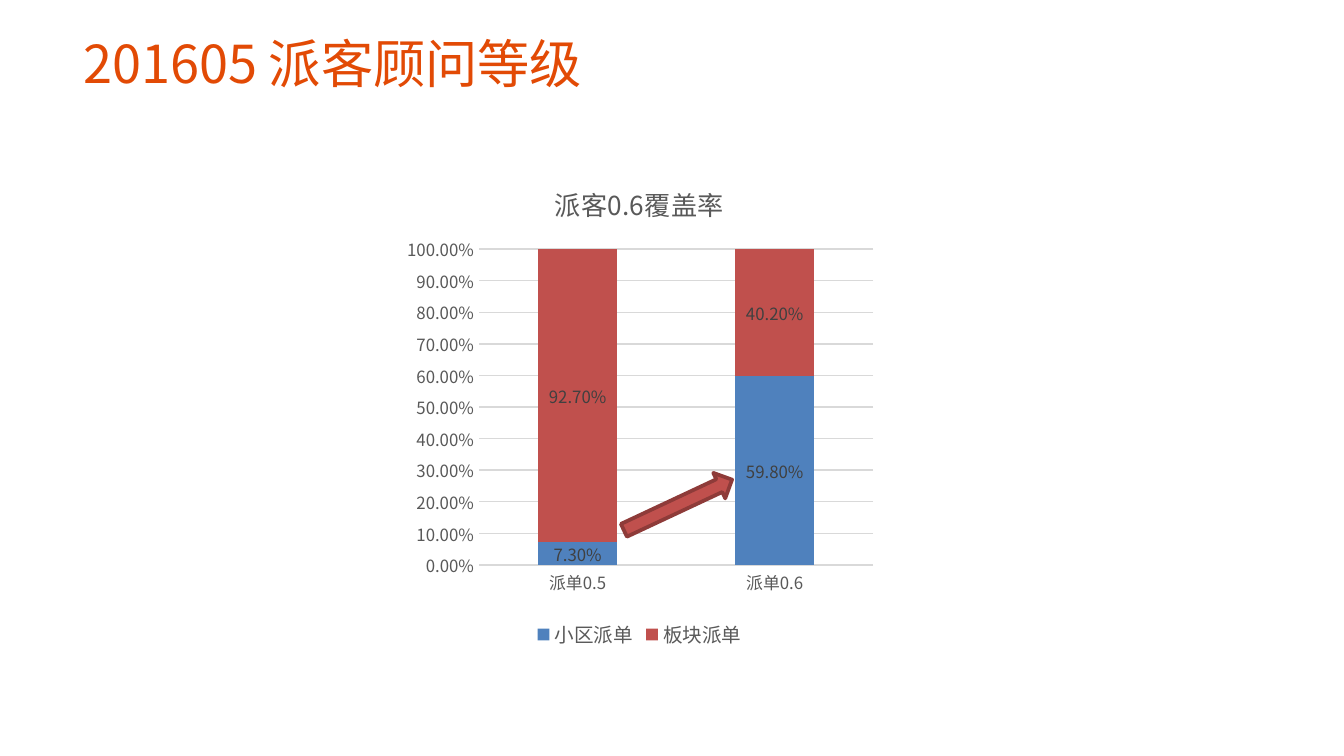
"""Build the consultant level slide with its coverage chart."""
from dataclasses import dataclass
from typing import Any

from lxml.etree import SubElement
from pptx import Presentation
from pptx.chart.data import CategoryChartData
from pptx.dml.color import RGBColor
from pptx.enum.chart import (XL_CHART_TYPE, XL_LABEL_POSITION,
                             XL_LEGEND_POSITION, XL_TICK_MARK)
from pptx.enum.shapes import MSO_SHAPE
from pptx.enum.text import MSO_ANCHOR, MSO_AUTO_SIZE, PP_ALIGN
from pptx.oxml import parse_xml
from pptx.oxml.ns import nsdecls, qn
from pptx.util import Inches, Pt

WIDE = Inches(10)
HIGH = WIDE * 9 // 16
FACE = "Noto Sans CJK SC"
COLORS = {"title": "E24A05", "text": "595959", "label": "404040",
          "grid": "D9D9D9", "blue": "4F81BD", "red": "C0504D",
          "edge": "8E3B39"}


@dataclass(frozen=True)
class Box:
    """A place given as percent shares of the slide."""
    left: float
    top: float
    width: float
    height: float

    def spots(self) -> dict[str, int]:
        """Return the place in slide units."""
        return {"left": round(WIDE * self.left / 100),
                "top": round(HIGH * self.top / 100),
                "width": round(WIDE * self.width / 100),
                "height": round(HIGH * self.height / 100)}


@dataclass(frozen=True)
class Band:
    """One stacked series of the chart."""
    name: str
    color: str
    rates: tuple[float, ...]


TITLE_BOX = Box(5.2, 3.2, 85, 12.6)
CHART_BOX = Box(29.5, 21.2, 36.2, 65.3)
ARROW_BOX = Box(49.4, 58.9, 2.1, 15.8)
PLOT = {"x": 0.17, "y": 0.18, "w": 0.81, "h": 0.64}
GROUPS = ("派单0.5", "派单0.6")
BANDS = (Band("小区派单", "blue", (0.073, 0.598)),
         Band("板块派单", "red", (0.927, 0.402)))


def apply(item: Any, values: dict[str, Any]) -> None:
    """Set each named attribute on the item."""
    for name, value in values.items():
        setattr(item, name, value)


def shade(name: str) -> RGBColor:
    """Look up a colour."""
    return RGBColor.from_string(COLORS[name])


def style(font: Any, size: float, color: str) -> None:
    """Format a font."""
    apply(font, {"size": Pt(size), "name": FACE, "bold": False})
    font.color.rgb = shade(color)


def pair(root: Any) -> None:
    """Give East Asian text the same face as Latin text."""
    for latin in list(root.iter(qn("a:latin"))):
        latin.addnext(parse_xml(
            f'<a:ea {nsdecls("a")} typeface="{FACE}"/>'))


def rule(line: Any) -> None:
    """Draw a thin grey chart line."""
    line.color.rgb = shade("grid")
    line.width = Pt(0.75)


def head(slide: Any) -> None:
    """Place and format the slide title."""
    title = slide.shapes.title
    apply(title, TITLE_BOX.spots())
    frame = title.text_frame
    frame.text = "201605 派客顾问等级"
    apply(frame, {"vertical_anchor": MSO_ANCHOR.TOP, "word_wrap": True,
                  "auto_size": MSO_AUTO_SIZE.NONE})
    line = frame.paragraphs[0]
    line.alignment = PP_ALIGN.LEFT
    style(line.runs[0].font, 28, "title")
    pair(title.element)


def place(chart: Any) -> None:
    """Fix the inner plot area inside the chart."""
    area = chart.element.find(".//" + qn("c:plotArea"))
    for old in area.findall(qn("c:layout")):
        area.remove(old)
    layout = parse_xml(f'<c:layout {nsdecls("c")}/>')
    area.insert(0, layout)
    manual = SubElement(layout, qn("c:manualLayout"))
    modes = {"layoutTarget": "inner", "xMode": "edge", "yMode": "edge"}
    for name, value in {**modes, **PLOT}.items():
        SubElement(manual, qn(f"c:{name}")).set("val", str(value))


def graph(slide: Any) -> None:
    """Draw the stacked coverage chart."""
    data = CategoryChartData(number_format="0.00%")
    data.categories = GROUPS
    for band in BANDS:
        data.add_series(band.name, band.rates)
    chart = slide.shapes.add_chart(XL_CHART_TYPE.COLUMN_STACKED,
                                   *CHART_BOX.spots().values(), data).chart
    style(chart.font, 10, "text")
    frame = chart.chart_title.text_frame
    frame.text = "派客0.6覆盖率"
    style(frame.paragraphs[0].runs[0].font, 14, "text")
    chart.chart_title.include_in_layout = False
    chart.has_legend = True
    apply(chart.legend, {"position": XL_LEGEND_POSITION.BOTTOM,
                         "include_in_layout": False})
    style(chart.legend.font, 10.5, "text")
    for axis in (chart.category_axis, chart.value_axis):
        apply(axis, {"major_tick_mark": XL_TICK_MARK.NONE,
                     "minor_tick_mark": XL_TICK_MARK.NONE})
        style(axis.tick_labels.font, 9, "text")
    rule(chart.category_axis.format.line)
    scale = chart.value_axis
    apply(scale, {"minimum_scale": 0, "maximum_scale": 1, "major_unit": 0.1,
                  "has_major_gridlines": True})
    apply(scale.tick_labels, {"number_format": "0.00%",
                              "number_format_is_linked": False})
    scale.format.line.fill.background()
    rule(scale.major_gridlines.format.line)
    plot = chart.plots[0]
    apply(plot, {"gap_width": 150, "overlap": 100, "vary_by_categories": False})
    for band, series in zip(BANDS, plot.series):
        series.format.fill.solid()
        series.format.fill.fore_color.rgb = shade(band.color)
        labels = series.data_labels
        apply(labels, {"show_value": True, "number_format": "0.00%",
                       "number_format_is_linked": False,
                       "position": XL_LABEL_POSITION.CENTER})
        style(labels.font, 9, "label")
    place(chart)
    pair(chart.element)


def point(slide: Any) -> None:
    """Draw the rising arrow between the columns."""
    arrow = slide.shapes.add_shape(MSO_SHAPE.DOWN_ARROW,
                                   *ARROW_BOX.spots().values())
    arrow.rotation = 244.9
    arrow.shadow.inherit = False
    arrow.fill.solid()
    arrow.fill.fore_color.rgb = shade("red")
    arrow.line.color.rgb = shade("edge")
    arrow.line.width = Pt(2)


def main() -> None:
    """Build and save the slide."""
    deck = Presentation()
    apply(deck, {"slide_width": WIDE, "slide_height": HIGH})
    slide = deck.slides.add_slide(deck.slide_layouts[5])
    for draw in (head, graph, point):
        draw(slide)
    deck.save("out.pptx")


if __name__ == "__main__":
    main()
